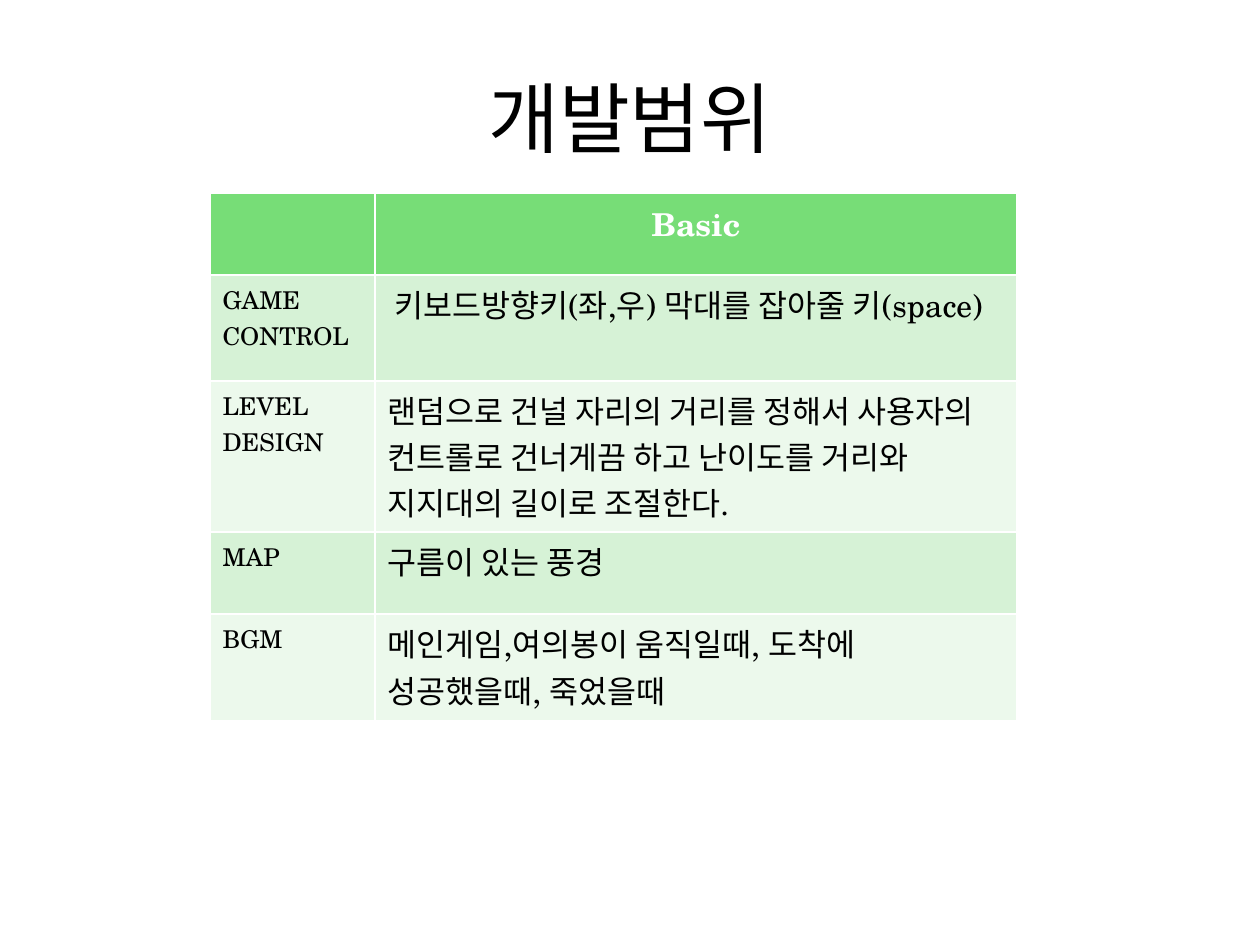
from pptx import Presentation
from pptx import util as u
from pptx.dml.color import RGBColor
from pptx.enum import text

FONT = "TeX Gyre Schola"
WHITE = RGBColor(0xFF, 0xFF, 0xFF)
BLACK = RGBColor(0, 0, 0)
GREEN = RGBColor(0x77, 0xDD, 0x77)
BANDS = (RGBColor(0xD6, 0xF2, 0xD6), RGBColor(0xEC, 0xF9, 0xEC))

ROWS = [
    (["GAME", "CONTROL"], " 키보드방향키(좌,우) 막대를 잡아줄 키(space)"),
    (["LEVEL", "DESIGN"], "랜덤으로 건널 자리의 거리를 정해서 사용자의 컨트롤로 건너게끔 하고 "
                          "난이도를 거리와 지지대의 길이로 조절한다."),
    (["MAP"], "구름이 있는 풍경"),
    (["BGM"], "메인게임,여의봉이 움직일때, 도착에 성공했을때, 죽었을때"),
]


def px(n):
    return u.Emu(round(n * 914400 / 126))


def add_text(tf, lines, size, color=BLACK, bold=False, align=None):
    for i, line in enumerate(lines):
        p = tf.add_paragraph() if i else tf.paragraphs[0]
        p.alignment = align
        r = p.add_run()
        r.text = line
        r.font.name = FONT
        r.font.size = u.Pt(size)
        r.font.bold = bold
        r.font.color.rgb = color


def add_title(s, x, y, w, h):
    sp = s.shapes.title
    sp.left, sp.top, sp.width, sp.height = px(x), px(y), px(w), px(h)
    sp.text_frame.vertical_anchor = text.MSO_ANCHOR.MIDDLE
    add_text(sp.text_frame, ["개발범위"], 44, align=text.PP_ALIGN.CENTER)


def fill_cell(cell, color):
    cell.fill.solid()
    cell.fill.fore_color.rgb = color


def add_scope_table(s, x, y, w, h):
    label_w = 165
    table = s.shapes.add_table(len(ROWS) + 1, 2, px(x), px(y), px(w), px(h)).table
    table.columns[0].width = px(label_w)
    table.columns[1].width = px(w - label_w)
    for cell in table.rows[0].cells:
        fill_cell(cell, GREEN)
    add_text(table.cell(0, 1).text_frame, ["Basic"], 18, WHITE, True,
             text.PP_ALIGN.CENTER)
    for i, (label, detail) in enumerate(ROWS, 1):
        for cell in table.rows[i].cells:
            fill_cell(cell, BANDS[(i - 1) % 2])
        add_text(table.cell(i, 0).text_frame, label, 14)
        add_text(table.cell(i, 1).text_frame, [detail], 18)


def main():
    prs = Presentation()
    prs.slide_width, prs.slide_height = px(1260), px(945)
    s = prs.slides.add_slide(prs.slide_layouts[5])
    add_title(s, 63, 38, 1134, 158)
    add_scope_table(s, 210, 193, 807, 410)
    prs.save("out.pptx")


if __name__ == "__main__":
    main()
